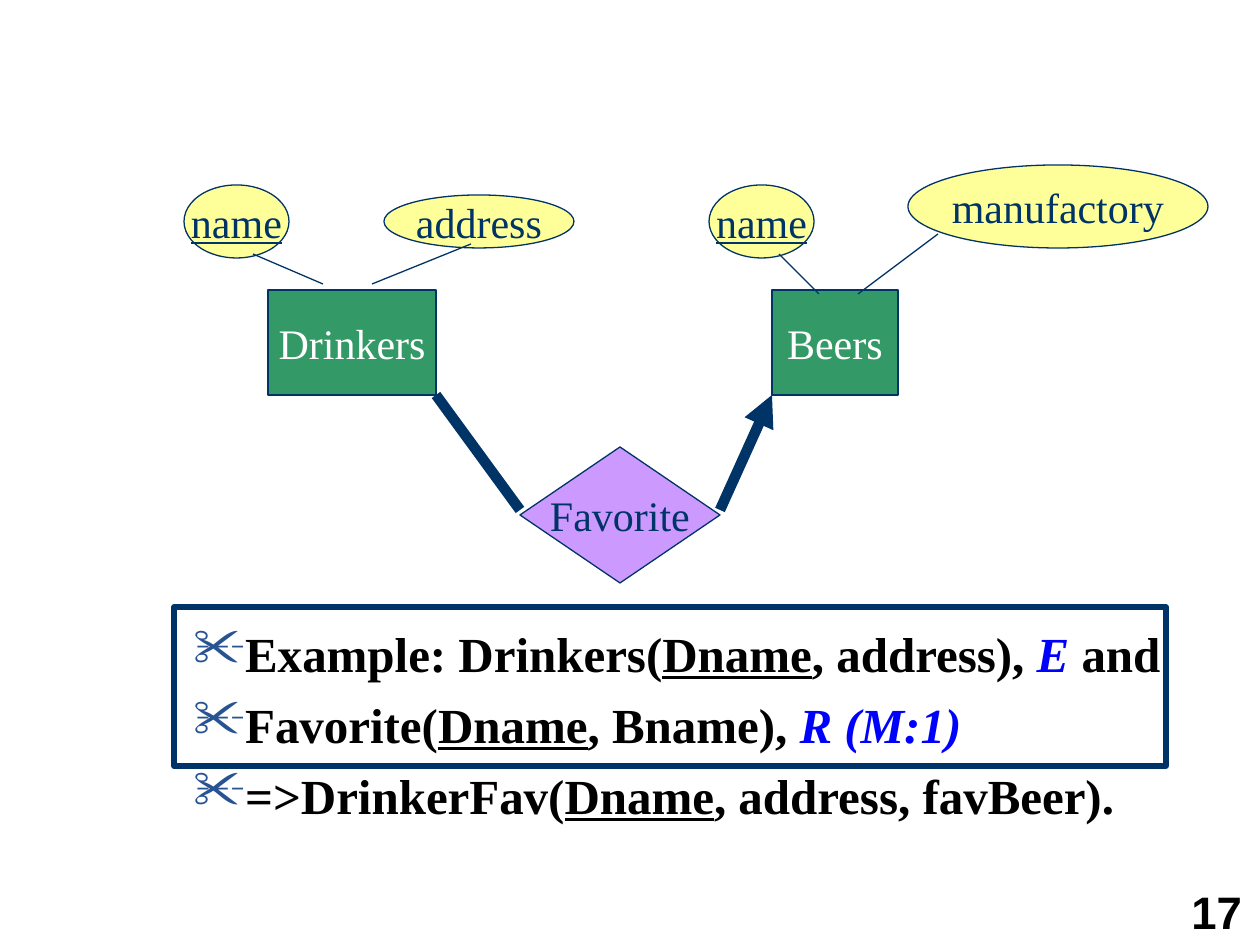
from typing import NamedTuple

from lxml import etree
from pptx import Presentation
from pptx.dml.color import RGBColor
from pptx.enum.shapes import MSO_CONNECTOR, MSO_SHAPE
from pptx.enum.text import MSO_ANCHOR, MSO_AUTO_SIZE, PP_ALIGN
from pptx.oxml.ns import qn
from pptx.util import Emu, Pt

RECTANGLE, DIAMOND, ELLIPSE = MSO_SHAPE.RECTANGLE, MSO_SHAPE.DIAMOND, MSO_SHAPE.OVAL
STRAIGHT = MSO_CONNECTOR.STRAIGHT
CENTER = PP_ALIGN.CENTER
MIDDLE, BOTTOM = MSO_ANCHOR.MIDDLE, MSO_ANCHOR.BOTTOM
GROW = MSO_AUTO_SIZE.SHAPE_TO_FIT_TEXT

PX_PER_INCH = 126
SERIF, SANS = "Times New Roman", "Arial"
COLORS = {
    "navy": "003366",
    "entity": "339966",
    "relationship": "CC99FF",
    "attribute": "FFFF99",
    "emphasis": "0000FF",
    "bullet": "275393",
    "black": "000000",
    "white": "FFFFFF",
}


class Node(NamedTuple):
    text: str
    kind: int
    left: int
    top: int
    width: int
    height: int
    fill: str
    color: str = "navy"
    key: bool = False


class Link(NamedTuple):
    start: tuple[int, int]
    end: tuple[int, int]
    weight: float = 0.75
    arrow: bool = False


class Span(NamedTuple):
    text: str
    key: bool = False
    emphasis: bool = False


NODES = [
    Node("Drinkers", RECTANGLE, 268, 290, 168, 105, "entity", "white"),
    Node("Beers", RECTANGLE, 772, 290, 126, 105, "entity", "white"),
    Node("Favorite", DIAMOND, 520, 447, 200, 136, "relationship"),
    Node("name", ELLIPSE, 184, 185, 105, 73, "attribute", key=True),
    Node("address", ELLIPSE, 384, 195, 190, 53, "attribute"),
    Node("name", ELLIPSE, 709, 185, 105, 73, "attribute", key=True),
    Node("manufactory", ELLIPSE, 908, 165, 300, 83, "attribute"),
]
LINKS = [
    Link((436, 395), (520, 510), weight=6),
    Link((720, 510), (772, 395), weight=6, arrow=True),
    Link((253, 254), (323, 284)),
    Link((372, 284), (471, 244)),
    Link((779, 254), (819, 294)),
    Link((858, 294), (938, 234)),
]
SCHEMA_LINES = [
    [Span("Example: Drinkers("), Span("Dname", key=True), Span(", address), "),
     Span("E", emphasis=True), Span(" and")],
    [Span("Favorite("), Span("Dname", key=True), Span(", Bname), "),
     Span("R (M:1)", emphasis=True)],
    [Span("=>DrinkerFav("), Span("Dname", key=True), Span(", address, favBeer).")],
]


def px(length: int) -> Emu:
    return Emu(round(length * 914400 / PX_PER_INCH))


def rgb(name: str) -> RGBColor:
    return RGBColor.from_string(COLORS[name])


def add_span(para, text: str, *, size: float, color: str, font: str = SERIF,
             bold: bool = False, italic: bool = False, underline: bool = False) -> None:
    span = para.add_run()
    span.text = text
    span.font.name = font
    span.font.size = Pt(size)
    span.font.bold = bold
    span.font.italic = italic
    span.font.underline = underline
    span.font.color.rgb = rgb(color)


def add_outlined(page, kind: int, bounds: tuple[int, ...], *, weight: float,
                 fill: str | None = None):
    shape = page.shapes.add_shape(kind, *map(px, bounds))
    shape.shadow.inherit = False
    if fill:
        shape.fill.solid()
        shape.fill.fore_color.rgb = rgb(fill)
    else:
        shape.fill.background()
    shape.line.color.rgb = rgb("navy")
    shape.line.width = Pt(weight)
    return shape


def add_node(page, node: Node) -> None:
    bounds = (node.left, node.top, node.width, node.height)
    frame = add_outlined(page, node.kind, bounds, weight=0.75, fill=node.fill).text_frame
    frame.word_wrap = False
    frame.vertical_anchor = MIDDLE
    para = frame.paragraphs[0]
    para.alignment = CENTER
    add_span(para, node.text, size=24, color=node.color, underline=node.key)


def add_link(page, link: Link) -> None:
    line = page.shapes.add_connector(STRAIGHT, *map(px, link.start + link.end))
    line.line.color.rgb = rgb("navy")
    line.line.width = Pt(link.weight)
    if link.arrow:
        etree.SubElement(line.line._get_or_add_ln(), qn("a:tailEnd"), type="triangle")
    etree.SubElement(line._element.spPr, qn("a:effectLst"))


def add_bullet(para) -> None:
    """Give the paragraph a scissors bullet, flush with its text."""
    properties = para._p.get_or_add_pPr()
    properties.set("marL", "0")
    properties.set("indent", "0")
    color = etree.SubElement(properties, qn("a:buClr"))
    etree.SubElement(color, qn("a:srgbClr"), val=COLORS["bullet"])
    etree.SubElement(properties, qn("a:buSzPct"), val="110000")
    etree.SubElement(properties, qn("a:buChar"), char="✂")


def add_schema(page) -> None:
    frame = page.shapes.add_textbox(*map(px, (181, 617, 1005, 272))).text_frame
    frame.word_wrap = False
    frame.auto_size = GROW
    for index, spans in enumerate(SCHEMA_LINES):
        para = frame.add_paragraph() if index else frame.paragraphs[0]
        add_bullet(para)
        if index:
            para.space_before = Pt(7)
        for span in spans:
            add_span(para, span.text, size=28, bold=True, underline=span.key,
                     italic=span.emphasis,
                     color="emphasis" if span.emphasis else "black")


def add_page_number(page) -> None:
    frame = page.shapes.add_textbox(*map(px, (1179, 877, 81, 68))).text_frame
    frame.word_wrap = True
    frame.auto_size = GROW
    frame.vertical_anchor = BOTTOM
    add_span(frame.paragraphs[0], "17", size=26, color="black", font=SANS, bold=True)


def main() -> None:
    deck = Presentation()
    deck.slide_width, deck.slide_height = px(1260), px(945)
    page = deck.slides.add_slide(deck.slide_layouts[6])
    add_page_number(page)
    for node in NODES:
        add_node(page, node)
    for link in LINKS:
        add_link(page, link)
    add_schema(page)
    add_outlined(page, RECTANGLE, (174, 607, 992, 159), weight=3)
    deck.save("out.pptx")


if __name__ == "__main__":
    main()
